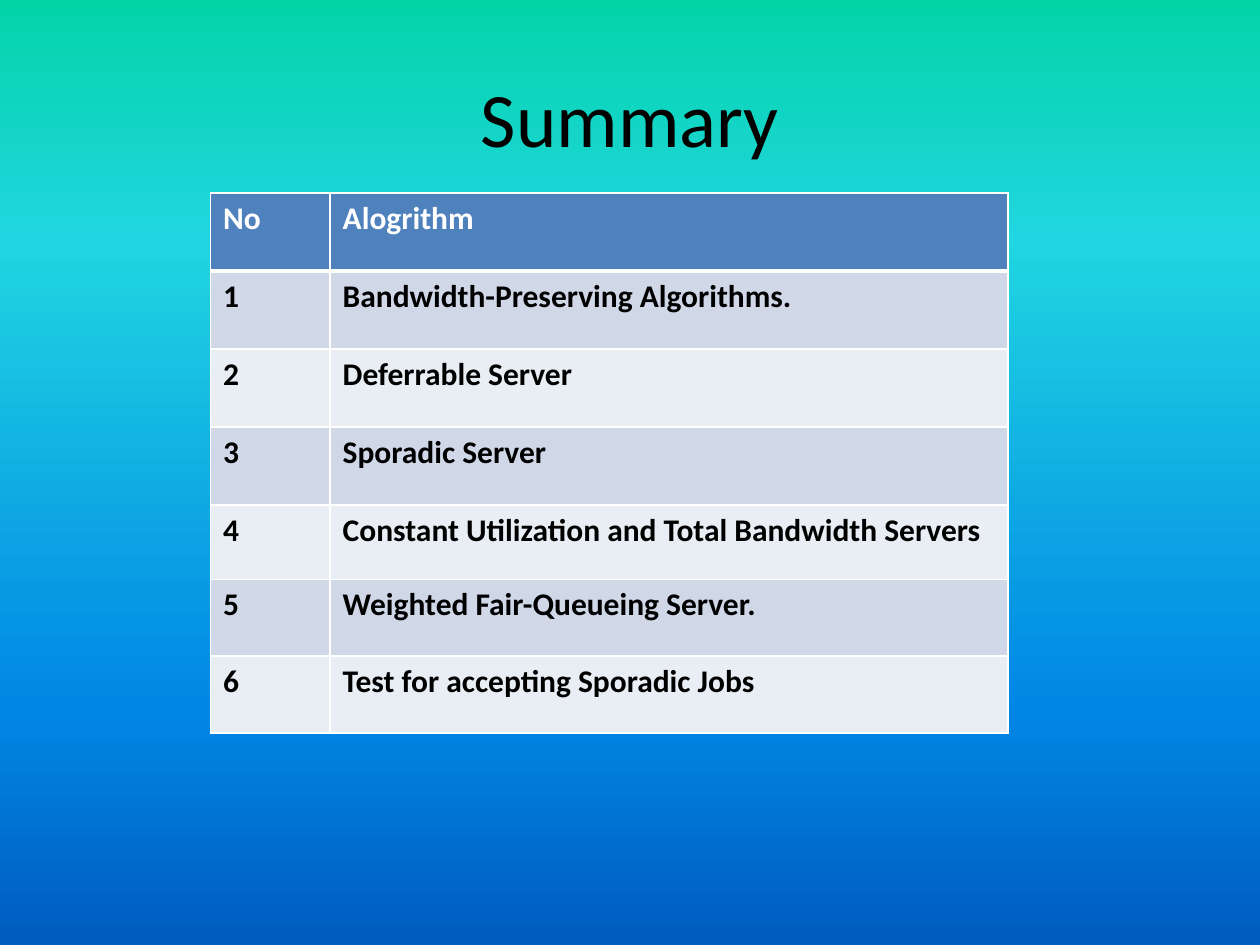
from pptx import Presentation
from pptx.dml.color import RGBColor
from pptx.enum.text import MSO_ANCHOR as Anchor, PP_ALIGN as Align
from pptx.oxml import parse_xml
from pptx.util import Inches, Pt

BLACK = RGBColor(0x00, 0x00, 0x00)
WHITE = RGBColor(0xFF, 0xFF, 0xFF)
HEADER_BLUE = RGBColor(0x4F, 0x81, 0xBD)
BANDS = [RGBColor(0xE9, 0xED, 0xF4), RGBColor(0xD0, 0xD8, 0xE8)]
SKY = {
    0: RGBColor(0x03, 0xD4, 0xA8),
    25: RGBColor(0x21, 0xD6, 0xE0),
    75: RGBColor(0x00, 0x87, 0xE6),
    100: RGBColor(0x00, 0x5C, 0xBF),
}
DRAWING = 'xmlns:a="http://schemas.openxmlformats.org/drawingml/2006/main"'
HEADINGS = ["No", "Alogrithm"]
ALGORITHMS = [
    "Bandwidth-Preserving Algorithms.",
    "Deferrable Server",
    "Sporadic Server",
    "Constant Utilization and Total Bandwidth Servers",
    "Weighted Fair-Queueing Server.",
    "Test for accepting Sporadic Jobs",
]
COLUMN_WIDTHS = [0.95, 5.38]
ROW_HEIGHTS = [0.62, 0.62, 0.62, 0.62, 0.59, 0.61, 0.61]


def write(frame, text, color, **font_format):
    span = frame.paragraphs[0].add_run()
    span.text = text
    span.font.color.rgb = color
    for name, value in font_format.items():
        setattr(span.font, name, value)


def add_border(cell, side, width):
    cell._tc.get_or_add_tcPr().append(parse_xml(
        f'<a:{side} {DRAWING} w="{Pt(width)}"><a:solidFill>'
        f'<a:srgbClr val="{WHITE}"/></a:solidFill></a:{side}>'))


deck = Presentation()
deck.slide_width, deck.slide_height = Inches(10), Inches(7.5)
page = deck.slides.add_slide(deck.slide_layouts[6])

stops = "".join(
    f'<a:gs pos="{position * 1000}"><a:srgbClr val="{color}"/></a:gs>'
    for position, color in SKY.items())
page.background.fill.solid()
background = page.background._cSld.bg.bgPr
background.replace(background[0], parse_xml(
    f'<a:gradFill {DRAWING} rotWithShape="1"><a:gsLst>{stops}</a:gsLst>'
    '<a:lin ang="5400000" scaled="0"/></a:gradFill>'))

title = page.shapes.add_textbox(Inches(0.5), Inches(0.3), Inches(9), Inches(1.25))
title_format = {"word_wrap": True, "vertical_anchor": Anchor.MIDDLE}
for name, value in title_format.items():
    setattr(title.text_frame, name, value)
title.text_frame.paragraphs[0].alignment = Align.CENTER
write(title.text_frame, "Summary", BLACK, name="Calibri", size=Pt(44))

rows = [HEADINGS] + [[str(number), text] for number, text in enumerate(ALGORITHMS, 1)]
table = page.shapes.add_table(
    len(rows), len(HEADINGS), Inches(1.67), Inches(1.53),
    Inches(sum(COLUMN_WIDTHS)), Inches(sum(ROW_HEIGHTS))).table
for column, width in zip(table.columns, COLUMN_WIDTHS):
    column.width = Inches(width)
for row, height in zip(table.rows, ROW_HEIGHTS):
    row.height = Inches(height)

for row_index, texts in enumerate(rows):
    is_header = row_index == 0
    borders = {
        "lnL": 1,
        "lnR": 1,
        "lnT": 3 if row_index == 1 else 1,
        "lnB": 3 if is_header else 1,
    }
    for column_index, text in enumerate(texts):
        cell = table.cell(row_index, column_index)
        for side, width in borders.items():
            add_border(cell, side, width)
        cell.fill.solid()
        cell.fill.fore_color.rgb = HEADER_BLUE if is_header else BANDS[row_index % 2]
        write(cell.text_frame, text, WHITE if is_header else BLACK,
              name="Calibri", size=Pt(18), bold=True)

deck.save("out.pptx")
